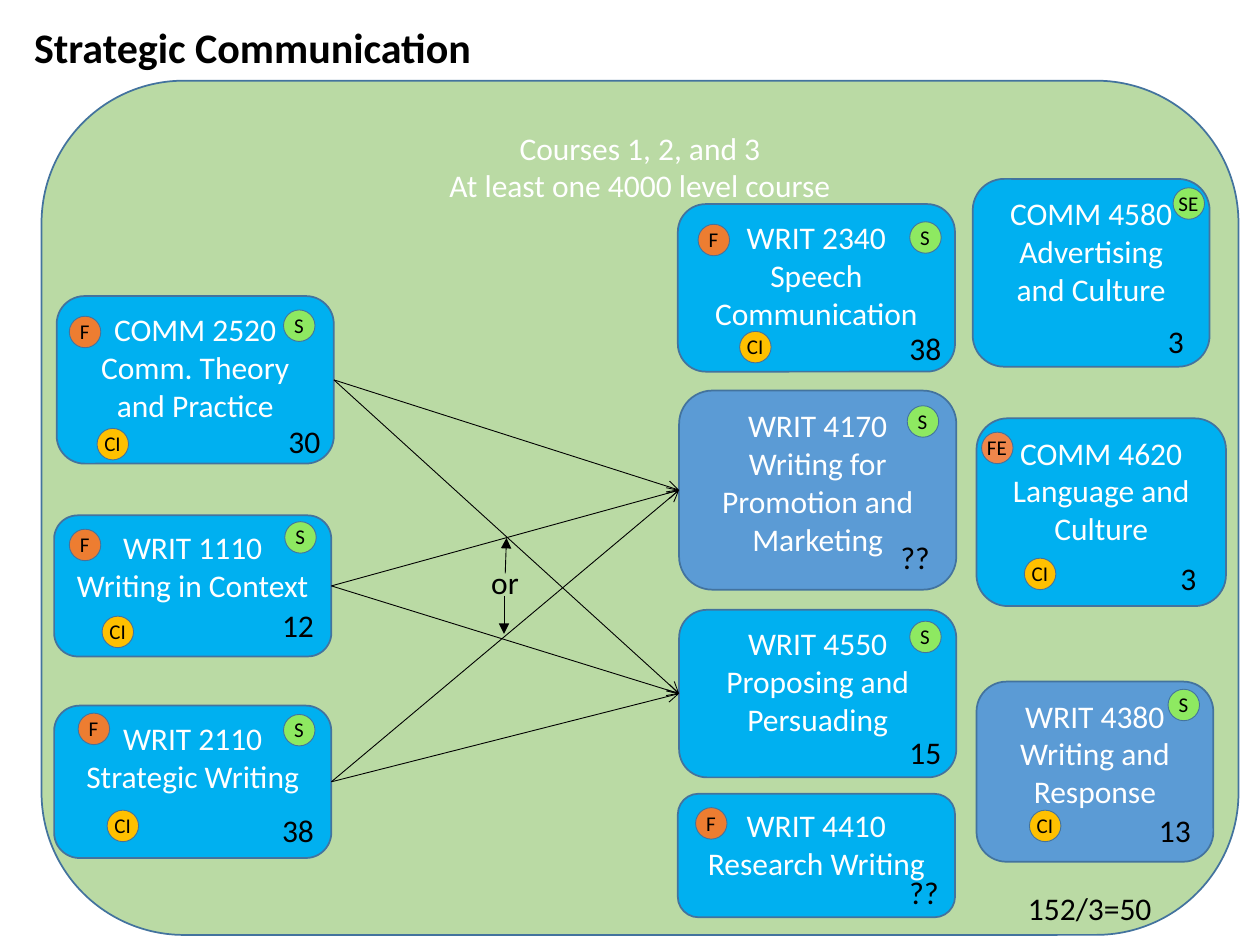
from dataclasses import dataclass
from typing import Optional

from lxml import etree
from pptx import Presentation
from pptx import util as u
from pptx.dml.color import RGBColor
from pptx.enum import shapes, text
from pptx.oxml.ns import qn

CM_PER_INCH = 2.54
FONT = "Calibri"
BLACK = RGBColor(0x00, 0x00, 0x00)
WHITE = RGBColor(0xFF, 0xFF, 0xFF)
OUTLINE = RGBColor(0x43, 0x73, 0x9E)
PANEL_GREEN = RGBColor(0xA9, 0xD1, 0x8E)
CYAN = RGBColor(0x00, 0xB0, 0xF0)
BLUE = RGBColor(0x5B, 0x9B, 0xD5)
AMBER = RGBColor(0xFF, 0xC0, 0x00)
GREEN = RGBColor(0x8E, 0xE9, 0x61)
ORANGE = RGBColor(0xED, 0x7D, 0x31)
LIGHT_ORANGE = RGBColor(0xEF, 0x86, 0x4B)

BADGE_SIZE = 0.25
BADGE_COLORS = {"CI": AMBER, "S": GREEN, "SE": GREEN, "F": ORANGE, "FE": LIGHT_ORANGE}
BADGE_LABEL_WIDTHS = {"CI": 0.33, "S": 0.28, "SE": 0.36, "F": 0.28, "FE": 0.36}


@dataclass(frozen=True)
class Box:
    left: float
    top: float
    width: float
    height: float

    def lengths(self) -> list[u.Length]:
        return [inches(v) for v in (self.left, self.top, self.width, self.height)]


@dataclass(frozen=True)
class Badge:
    label: str
    left: float
    top: float


@dataclass(frozen=True)
class Label:
    words: str
    box: Box


@dataclass(frozen=True)
class Course:
    code: str
    name: str
    box: Box
    seats: Label
    badges: tuple[Badge, ...]
    fill: RGBColor = CYAN


COURSES = [
    Course("COMM 2520", "Comm. Theory and Practice", Box(0.45, 2.35, 2.2, 1.33),
           Label("30", Box(2.19, 3.3, 0.46, 0.4)),
           (Badge("CI", 0.77, 3.4), Badge("F", 0.55, 2.51), Badge("S", 2.25, 2.46))),
    Course("WRIT 1110", "Writing in Context", Box(0.43, 4.09, 2.2, 1.12),
           Label("12", Box(2.14, 4.76, 0.46, 0.4)),
           (Badge("CI", 0.81, 4.89), Badge("F", 0.55, 4.2), Badge("S", 2.26, 4.14))),
    Course("WRIT 2110", "Strategic Writing", Box(0.43, 5.6, 2.2, 1.21),
           Label("38", Box(2.14, 6.39, 0.46, 0.4)),
           (Badge("CI", 0.85, 6.43), Badge("F", 0.62, 5.66), Badge("S", 2.25, 5.67))),
    Course("WRIT 2340", "Speech Communication", Box(5.38, 1.62, 2.2, 1.33),
           Label("38", Box(7.12, 2.56, 0.46, 0.4)),
           (Badge("CI", 5.87, 2.63), Badge("F", 5.54, 1.78), Badge("S", 7.22, 1.76))),
    Course("WRIT 4170", "Writing for Promotion and Marketing", Box(5.39, 3.1, 2.2, 1.58),
           Label("??", Box(7.05, 4.22, 0.44, 0.4)), (Badge("S", 7.2, 3.22),), BLUE),
    Course("WRIT 4410", "Research Writing", Box(5.38, 6.3, 2.2, 0.98),
           Label("??", Box(7.12, 6.88, 0.44, 0.4)), (Badge("F", 5.52, 6.41),)),
    Course("WRIT 4550", "Proposing and Persuading", Box(5.39, 4.84, 2.2, 1.33),
           Label("15", Box(7.12, 5.77, 0.46, 0.4)), (Badge("S", 7.22, 4.93),)),
    Course("WRIT 4380", "Writing and Response", Box(7.75, 5.41, 1.88, 1.43),
           Label("13", Box(9.1, 6.39, 0.46, 0.4)),
           (Badge("CI", 8.17, 6.43), Badge("S", 9.27, 5.47)), BLUE),
    Course("COMM 4580", "Advertising and Culture", Box(7.72, 1.42, 1.88, 1.49),
           Label("3", Box(9.17, 2.51, 0.33, 0.4)), (Badge("SE", 9.31, 1.49),)),
    Course("COMM 4620", "Language and Culture", Box(7.75, 3.32, 1.98, 1.49),
           Label("3", Box(9.27, 4.39, 0.33, 0.4)),
           (Badge("CI", 8.13, 4.43), Badge("FE", 7.79, 3.43))),
]
FIRST_COURSES = ("COMM 2520", "WRIT 1110", "WRIT 2110")
NEXT_COURSES = ("WRIT 4170", "WRIT 4550")
OR_ARROWS = [((4.01, 4.55), (4.02, 4.27)), ((4, 4.73), (4, 5.03))]
OTHER_LABELS = [
    Label("or", Box(3.8, 4.42, 0.42, 0.4)),
    Label("152/3=50", Box(8.06, 7.01, 1.19, 0.4)),
]


def inches(value: float) -> u.Length:
    return u.Cm(value * CM_PER_INCH)


def add_run(paragraph, words: str, size: float, color: RGBColor, bold: bool = False) -> None:
    run = paragraph.add_run()
    run.text = words
    run.font.name = FONT
    run.font.size = u.Pt(size)
    run.font.bold = bold
    run.font.color.rgb = color


def add_filled(parent, kind, box: Box, fill: RGBColor, line_width: float):
    shape = parent.add_shape(kind, *box.lengths())
    shape.shadow.inherit = False
    shape.fill.solid()
    shape.fill.fore_color.rgb = fill
    shape.line.color.rgb = OUTLINE
    shape.line.width = u.Pt(line_width)
    return shape


def add_block(slide, box: Box, fill: RGBColor, lines: tuple[str, ...]):
    block = add_filled(slide.shapes, shapes.MSO_SHAPE.ROUNDED_RECTANGLE, box, fill, 1)
    frame = block.text_frame
    frame.word_wrap = True
    frame.vertical_anchor = text.MSO_ANCHOR.TOP
    for number, line in enumerate(lines):
        paragraph = frame.add_paragraph() if number else frame.paragraphs[0]
        paragraph.alignment = text.PP_ALIGN.CENTER
        add_run(paragraph, line, 18, WHITE)
    return block


def add_label(parent, label: Label, size: float = 18) -> None:
    frame = parent.add_textbox(*label.box.lengths()).text_frame
    frame.word_wrap = False
    frame.auto_size = text.MSO_AUTO_SIZE.SHAPE_TO_FIT_TEXT
    add_run(frame.paragraphs[0], label.words, size, BLACK)


def add_badge(slide, badge: Badge) -> None:
    group = slide.shapes.add_group_shape()
    circle = Box(badge.left, badge.top, BADGE_SIZE, BADGE_SIZE)
    add_filled(group.shapes, shapes.MSO_SHAPE.OVAL, circle, BADGE_COLORS[badge.label], 0.5)
    width = BADGE_LABEL_WIDTHS[badge.label]
    left = badge.left + (BADGE_SIZE - width) / 2
    add_label(group.shapes, Label(badge.label, Box(left, badge.top - 0.03, width, 0.3)), 12)


def add_arrow(slide, head: str, start=(0, 0), end=(0, 0), source: Optional[object] = None,
              target: Optional[object] = None) -> None:
    points = [inches(v) for v in (*start, *end)]
    arrow = slide.shapes.add_connector(shapes.MSO_CONNECTOR.STRAIGHT, *points)
    if source is not None and target is not None:
        arrow.begin_connect(source, 3)
        arrow.end_connect(target, 1)
    arrow.line.color.rgb = BLACK
    arrow.line.width = u.Pt(0.5)
    properties = arrow._element.spPr
    etree.SubElement(properties.find(qn("a:ln")), qn("a:tailEnd"), type=head)
    etree.SubElement(properties, qn("a:effectLst"))


def add_title(slide, words: str) -> None:
    title = slide.shapes.title
    title.left, title.top, title.width, title.height = Box(0.17, 0.12, 3.71, 0.5).lengths()
    frame = title.text_frame
    frame.word_wrap = False
    frame.auto_size = text.MSO_AUTO_SIZE.SHAPE_TO_FIT_TEXT
    frame.vertical_anchor = text.MSO_ANCHOR.TOP
    frame.paragraphs[0].alignment = text.PP_ALIGN.LEFT
    add_run(frame.paragraphs[0], words, 24, BLACK, bold=True)


def main() -> None:
    deck = Presentation()
    deck.slide_width, deck.slide_height = inches(10), inches(7.5)
    slide = deck.slides.add_slide(deck.slide_layouts[5])
    add_title(slide, "Strategic Communication")
    panel = add_block(slide, Box(0.33, 0.64, 9.5, 6.78), PANEL_GREEN,
                      ("Courses 1, 2, and 3", "At least one 4000 level course"))
    panel_color = panel._element.spPr.find(qn("a:solidFill")).find(qn("a:srgbClr"))
    etree.SubElement(panel_color, qn("a:alpha"), val="80000")
    blocks = {c.code: add_block(slide, c.box, c.fill, (c.code, c.name)) for c in COURSES}
    for following in NEXT_COURSES:
        for first in FIRST_COURSES:
            add_arrow(slide, "arrow", source=blocks[first], target=blocks[following])
    for start, end in OR_ARROWS:
        add_arrow(slide, "triangle", start, end)
    for course in COURSES:
        for badge in course.badges:
            add_badge(slide, badge)
        add_label(slide.shapes, course.seats)
    for label in OTHER_LABELS:
        add_label(slide.shapes, label)
    deck.save("out.pptx")


if __name__ == "__main__":
    main()
